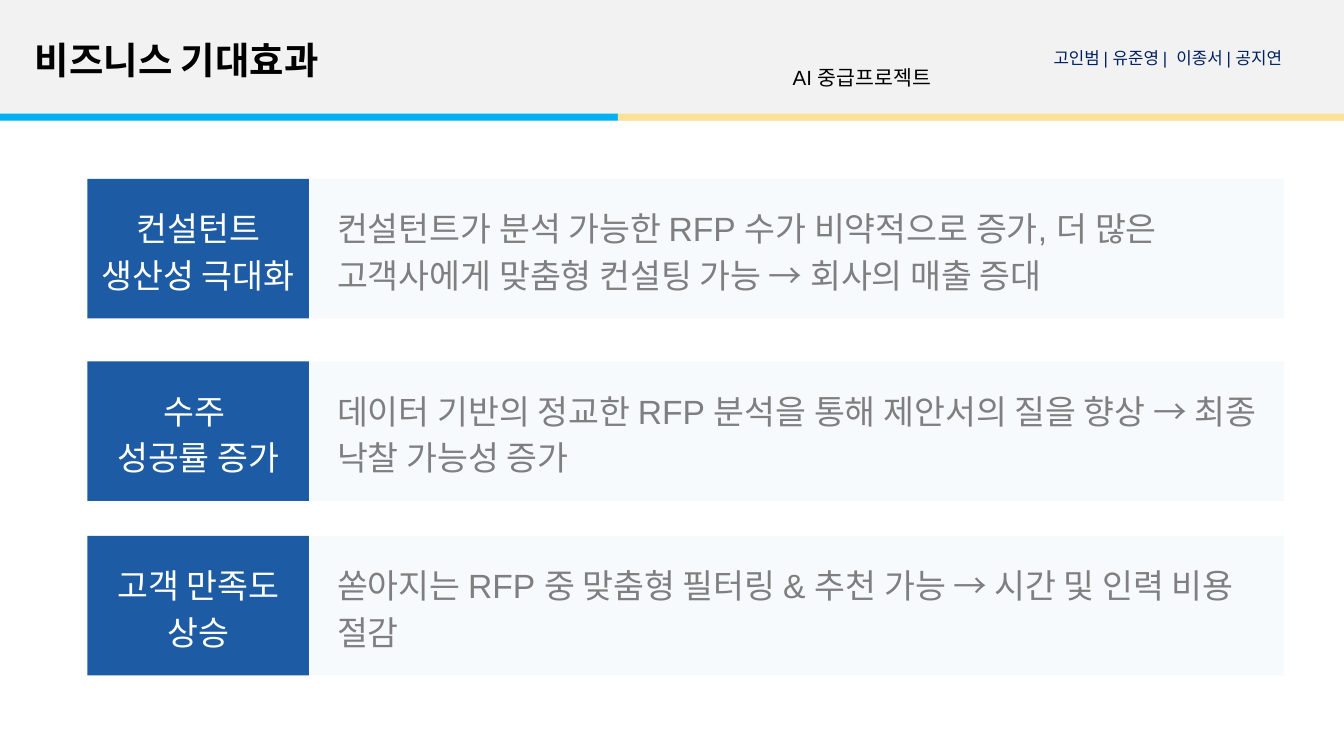
import pptx
import pptx.dml.color
import pptx.enum.shapes
import pptx.enum.text
import pptx.util

Cm = pptx.util.Cm
Align = pptx.enum.text.PP_ALIGN
Anchor = pptx.enum.text.MSO_ANCHOR

# Content
TITLE = "비즈니스 기대효과"
COURSE = "AI 중급프로젝트"
MEMBERS = "고인범 | 유준영 |  이종서 | 공지연"
# (top in cm, label, description)
EFFECTS = [
    (3.38, "컨설턴트 생산성 극대화",
     "컨설턴트가 분석 가능한 RFP 수가 비약적으로 증가, 더 많은 고객사에게 맞춤형 컨설팅 가능 → 회사의 매출 증대"),
    (6.83, "수주 \n성공률 증가",
     "데이터 기반의 정교한 RFP 분석을 통해 제안서의 질을 향상 → 최종 낙찰 가능성 증가"),
    (10.13, "고객 만족도 상승",
     "쏟아지는 RFP 중 맞춤형 필터링 & 추천 가능 → 시간 및 인력 비용 절감"),
]

THEME = {
    "font": "Arial",
    "header": "F2F2F2", "bar_left": "00B0F0", "bar_right": "FEE199",
    "label": "1D5CA5", "panel": "F6FAFC",
    "black": "000000", "navy": "002060", "white": "FFFFFF", "gray": "7F7F7F",
    "title_size": 20, "course_size": 11, "members_size": 9, "body_size": 18,
}

# Layout in cm
SLIDE_WIDTH, SLIDE_HEIGHT = 25.4, 14.29
HEADER_HEIGHT = 2.29
BAR_TOP, BAR_HEIGHT, BAR_SPLIT = 2.15, 0.13, 11.68
LABEL_LEFT, LABEL_WIDTH = 1.65, 4.19
PANEL_LEFT, PANEL_WIDTH = 5.86, 18.41
ROW_HEIGHT = 2.64
INSET = 0.13

presentation = pptx.Presentation()
presentation.slide_width = Cm(SLIDE_WIDTH)
presentation.slide_height = Cm(SLIDE_HEIGHT)
slide = presentation.slides.add_slide(presentation.slide_layouts[6])


def color(name):
    return pptx.dml.color.RGBColor.from_string(THEME[name])


def add_rectangle(left, top, width, height, fill):
    shape = slide.shapes.add_shape(
        pptx.enum.shapes.MSO_SHAPE.RECTANGLE,
        Cm(left), Cm(top), Cm(width), Cm(height))
    shape.shadow.inherit = False
    shape.fill.solid()
    shape.fill.fore_color.rgb = color(fill)
    shape.line.fill.background()
    return shape


def write(shape, text, size, text_color, align, inset_x, inset_y,
          anchor=Anchor.TOP, bold=False):
    frame = shape.text_frame
    frame.word_wrap = True
    frame.vertical_anchor = anchor
    frame.margin_left = frame.margin_right = Cm(inset_x)
    frame.margin_top = frame.margin_bottom = Cm(inset_y)
    paragraph = frame.paragraphs[0]
    paragraph.text = text
    paragraph.alignment = align
    paragraph.font.name = THEME["font"]
    paragraph.font.size = pptx.util.Pt(THEME[size])
    paragraph.font.bold = bold
    paragraph.font.color.rgb = color(text_color)
    return paragraph


def add_text(left, top, width, height, *text_style, **options):
    box = slide.shapes.add_textbox(Cm(left), Cm(top), Cm(width), Cm(height))
    write(box, *text_style, **options)


# Header
add_rectangle(0, 0, SLIDE_WIDTH, HEADER_HEIGHT, "header")
add_text(0.41, 0.58, 13.72, 1.12, TITLE, "title_size", "black",
         Align.LEFT, 0.25, 0.13, bold=True)
add_text(18.82, 0.71, 6.5, 0.89, MEMBERS, "members_size", "navy",
         Align.CENTER, 0.25, 0.25)
add_text(14.73, 1.09, 3.35, 0.74, COURSE, "course_size", "black",
         Align.LEFT, 0.25, 0.13)

# Two-colour rule under the header
add_rectangle(0, BAR_TOP, BAR_SPLIT, BAR_HEIGHT, "bar_left")
add_rectangle(BAR_SPLIT, BAR_TOP, SLIDE_WIDTH - BAR_SPLIT, BAR_HEIGHT, "bar_right")

# Effect rows: label and description
for top, label, description in EFFECTS:
    label_box = add_rectangle(LABEL_LEFT, top, LABEL_WIDTH, ROW_HEIGHT, "label")
    paragraph = write(label_box, label, "body_size", "white", Align.CENTER,
                      INSET, INSET, Anchor.MIDDLE)
    paragraph.line_spacing = 1.15

    panel = add_rectangle(PANEL_LEFT, top, PANEL_WIDTH, ROW_HEIGHT, "panel")
    paragraph = write(panel, description, "body_size", "gray", Align.LEFT,
                      INSET, INSET, Anchor.MIDDLE)
    paragraph.line_spacing = 1.15
    properties = paragraph._p.get_or_add_pPr()
    properties.set("marL", str(Cm(0.38)))
    properties.set("indent", "0")

presentation.save("out.pptx")
